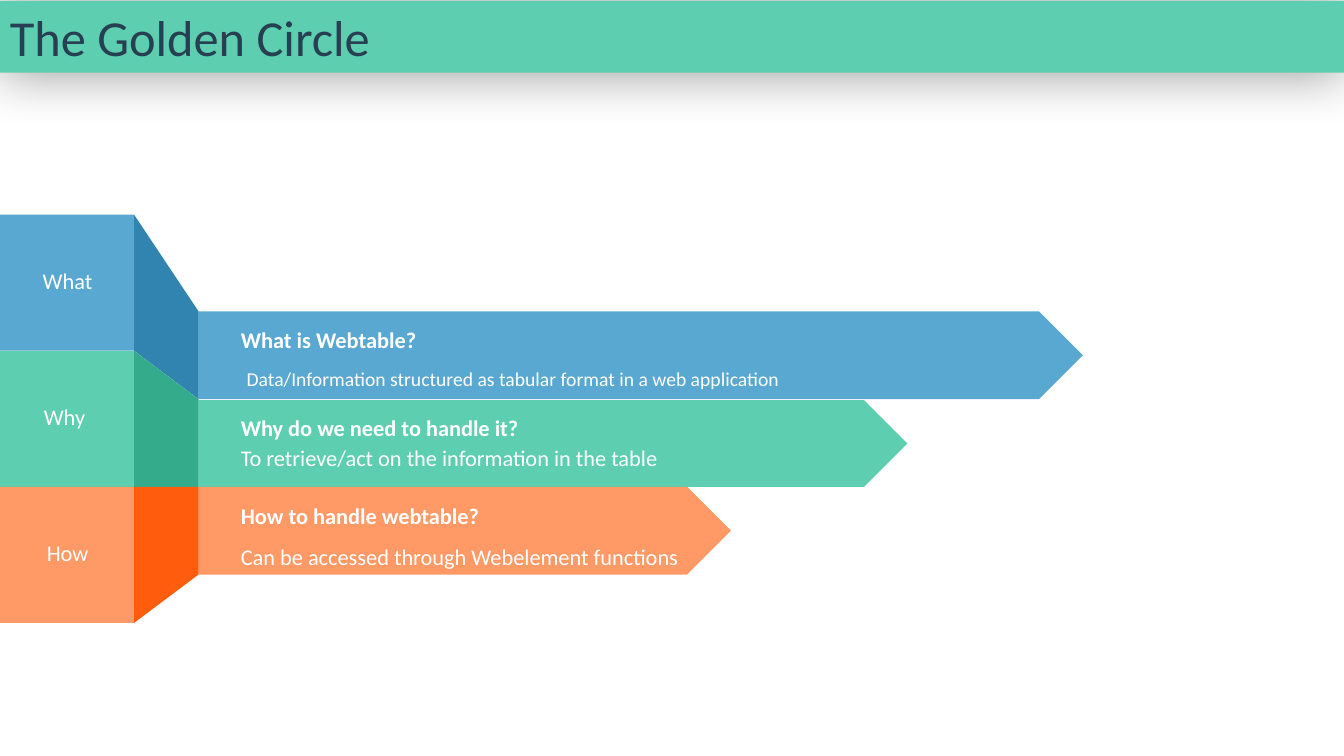
import pptx
import pptx.util
import pptx.dml.color
import pptx.enum.shapes
import pptx.enum.text
import pptx.oxml
import pptx.oxml.ns

Inches = pptx.util.Inches
Shapes = pptx.enum.shapes.MSO_SHAPE
Align = pptx.enum.text.PP_ALIGN

COLORS = {
    "blue": "59A8D1", "blue_dark": "3084AF",
    "green": "5DCEAF", "green_dark": "34AC8B",
    "orange": "FF9966", "orange_dark": "FF5D0D",
    "white": "FFFFFF", "navy": "273F52", "black": "000000",
}


class SlideBuilder:
    def __init__(self, slide, font="Calibri"):
        self.slide = slide
        self.font = font

    def color(self, name):
        return pptx.dml.color.RGBColor.from_string(COLORS[name])

    def paint(self, shape, fill):
        shape.shadow.inherit = False
        shape.fill.solid()
        shape.fill.fore_color.rgb = self.color(fill)
        shape.line.fill.background()
        return shape

    def shape(self, kind, left, top, width, height, fill):
        shape = self.slide.shapes.add_shape(
            kind, Inches(left), Inches(top), Inches(width), Inches(height))
        return self.paint(shape, fill)

    def polygon(self, points, fill):
        corners = [(Inches(x), Inches(y)) for x, y in points]
        builder = self.slide.shapes.build_freeform(*corners[0])
        builder.add_line_segments(corners[1:], close=True)
        return self.paint(builder.convert_to_shape(), fill)

    def add_runs(self, shape, runs, color="white", bold=False,
                 align=Align.LEFT, spacing=None, wrap=False):
        frame = shape.text_frame
        frame.word_wrap = wrap
        frame.auto_size = pptx.enum.text.MSO_AUTO_SIZE.SHAPE_TO_FIT_TEXT
        paragraph = frame.paragraphs[0]
        paragraph.alignment = align
        if spacing:
            paragraph.line_spacing = spacing
        for text, size in runs:
            run = paragraph.add_run()
            run.text = text
            run.font.name = self.font
            run.font.size = pptx.util.Pt(size)
            run.font.bold = bold
            run.font.color.rgb = self.color(color)

    def text(self, left, top, width, height, runs, **style):
        box = self.slide.shapes.add_textbox(
            Inches(left), Inches(top), Inches(width), Inches(height))
        self.add_runs(box, runs, **style)

    def soft_shadow(self, shape, blur, alpha):
        effects = shape._element.spPr.find(pptx.oxml.ns.qn("a:effectLst"))
        effects.append(pptx.oxml.parse_xml(
            f'<a:outerShdw {pptx.oxml.ns.nsdecls("a")} '
            f'blurRad="{pptx.util.Pt(blur)}" dist="0" dir="0" rotWithShape="0">'
            f'<a:srgbClr val="{COLORS["black"]}">'
            f'<a:alpha val="{alpha * 1000}"/></a:srgbClr></a:outerShdw>'))


def main():
    presentation = pptx.Presentation()
    presentation.slide_width = Inches(13.33)
    presentation.slide_height = Inches(7.5)
    slide = presentation.slides.add_slide(presentation.slide_layouts[6])
    builder = SlideBuilder(slide)

    block_top, block_height, fold_left = 2.13, 1.35, 1.33
    arrow_top, arrow_height, arrow_left = 3.09, 0.87, 1.97

    # Color, label, label left and width, arrow width, heading, heading width
    rows = [
        ("blue", "What", 0.32, 0.70, 8.77, "What is Webtable?", 1.96),
        ("green", "Why ", 0.33, 0.67, 7.03, "Why do we need to handle it?", 2.99),
        ("orange", "How", 0.36, 0.62, 5.28, "How to handle webtable?", 2.59),
    ]

    # Blocks, folds and arrows
    for index, (color, label, label_left, label_width,
                arrow_width, heading, heading_width) in enumerate(rows):
        top = block_top + index * block_height
        tip_top = arrow_top + index * arrow_height
        builder.shape(Shapes.RECTANGLE, 0, top, fold_left, block_height, color)
        # A hairline gap separates the first two arrows
        gap = 0.01 if color == "green" else 0
        builder.shape(Shapes.PENTAGON, arrow_left, tip_top + gap,
                      arrow_width, arrow_height - gap, color)
        builder.polygon([(fold_left, top), (arrow_left, tip_top),
                         (arrow_left, tip_top + arrow_height),
                         (fold_left, top + block_height)], color + "_dark")
        builder.text(label_left, top + 0.47, label_width, 0.37,
                     [(label, 16)], align=Align.CENTER)
        builder.text(2.29, tip_top + 0.1, heading_width, 0.37,
                     [(heading, 16)], bold=True)

    # Answers
    builder.text(2.31, 3.57, 5.58, 0.36, [
        (" ", 12),
        ("Data/Information structured as tabular format in a web application", 14),
    ], spacing=1.1)
    builder.text(2.29, 4.36, 5.27, 0.37, [
        ("To retrieve/act on the information in the table", 16)], wrap=True)
    builder.text(2.29, 5.31, 4.7, 0.4, [
        ("Can be accessed through Webelement functions", 16)], spacing=1.1)

    # Title bar
    title = builder.shape(Shapes.RECTANGLE, 0, 0.01, 13.33, 0.71, "green")
    builder.soft_shadow(title, blur=39, alpha=40)
    builder.add_runs(title, [("The Golden Circle", 36)], color="navy", wrap=True)

    presentation.save("out.pptx")


if __name__ == "__main__":
    main()
